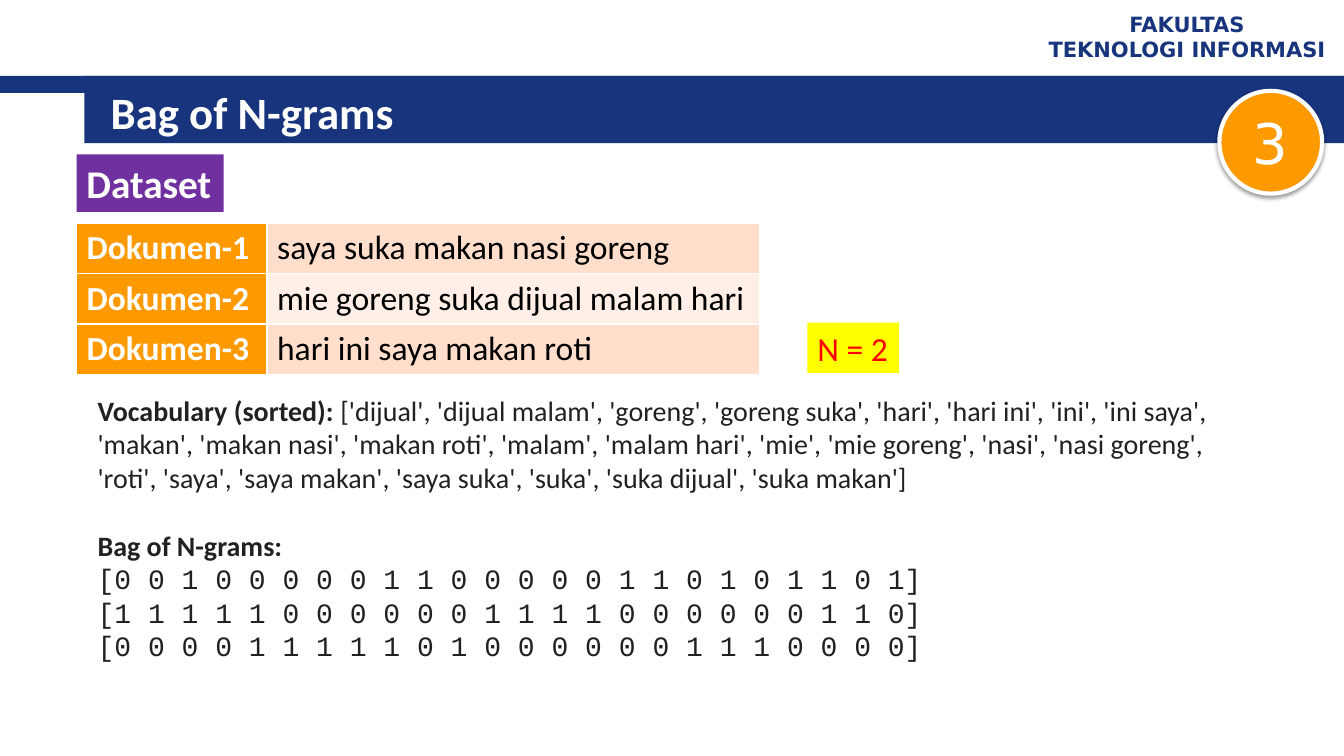
import pptx
import pptx.dml.color
import pptx.enum.shapes
import pptx.enum.text
import pptx.oxml
import pptx.oxml.ns
import pptx.util

Cm = pptx.util.Cm
Pt = pptx.util.Pt
RGBColor = pptx.dml.color.RGBColor
MSO_SHAPE = pptx.enum.shapes.MSO_SHAPE
ANCHOR = pptx.enum.text.MSO_ANCHOR
ALIGN = pptx.enum.text.PP_ALIGN
AUTO_SIZE = pptx.enum.text.MSO_AUTO_SIZE

NAVY = RGBColor(0x17, 0x34, 0x7D)
ORANGE = RGBColor(0xFF, 0x99, 0x00)
PURPLE = RGBColor(0x70, 0x30, 0xA0)
YELLOW = RGBColor(0xFF, 0xFF, 0x00)
RED = RGBColor(0xFF, 0x00, 0x00)
PEACH = RGBColor(0xFF, 0xDE, 0xCC)
PALE_PEACH = RGBColor(0xFF, 0xEF, 0xE7)
INK = RGBColor(0x21, 0x21, 0x21)
BLACK = RGBColor(0, 0, 0)
WHITE = RGBColor(0xFF, 0xFF, 0xFF)

BODY_FONT = "Calibri"
CODE_FONT = "Courier New"
BRAND_FONT = "DejaVu Sans"

DOCUMENTS = [
    ("Dokumen-1", "saya suka makan nasi goreng"),
    ("Dokumen-2", "mie goreng suka dijual malam hari"),
    ("Dokumen-3", "hari ini saya makan roti"),
]
VOCABULARY = [
    "dijual", "dijual malam", "goreng", "goreng suka", "hari", "hari ini",
    "ini", "ini saya", "makan", "makan nasi", "makan roti", "malam",
    "malam hari", "mie", "mie goreng", "nasi", "nasi goreng", "roti",
    "saya", "saya makan", "saya suka", "suka", "suka dijual", "suka makan",
]
VECTORS = [
    "[0 0 1 0 0 0 0 0 1 1 0 0 0 0 0 1 1 0 1 0 1 1 0 1]",
    "[1 1 1 1 1 0 0 0 0 0 0 1 1 1 1 0 0 0 0 0 0 1 1 0]",
    "[0 0 0 0 1 1 1 1 1 0 1 0 0 0 0 0 0 1 1 1 0 0 0 0]",
]


class SlideBuilder:
    def __init__(self, s):
        self.s = s

    def style(self, r, size, color, bold=False, font=BODY_FONT):
        r.font.name = font
        r.font.size = Pt(size)
        r.font.bold = bold
        r.font.color.rgb = color

    def set_text(self, tf, text, size, color, bold=False, font=BODY_FONT, align=ALIGN.LEFT):
        tf.text = text
        for p in tf.paragraphs:
            p.alignment = align
            for r in p.runs:
                self.style(r, size, color, bold, font)

    def shape(self, kind, x, y, w, h, fill):
        sp = self.s.shapes.add_shape(kind, Cm(x), Cm(y), Cm(w), Cm(h))
        sp.shadow.inherit = False
        sp.fill.solid()
        sp.fill.fore_color.rgb = fill
        sp.line.fill.background()
        return sp

    def label(self, x, y, w, h, fill, text, size, color, bold=False):
        sp = self.shape(MSO_SHAPE.RECTANGLE, x, y, w, h, fill)
        tf = sp.text_frame
        tf.word_wrap = False
        tf.auto_size = AUTO_SIZE.SHAPE_TO_FIT_TEXT
        tf.vertical_anchor = ANCHOR.TOP
        self.set_text(tf, text, size, color, bold)

    def textbox(self, x, y, w, h, anchor=ANCHOR.TOP):
        tf = self.s.shapes.add_textbox(Cm(x), Cm(y), Cm(w), Cm(h)).text_frame
        tf.word_wrap = True
        tf.vertical_anchor = anchor
        return tf

    def badge(self, x, y, size, text):
        sp = self.shape(MSO_SHAPE.OVAL, x, y, size, size, ORANGE)
        sp.line.color.rgb = WHITE
        sp.line.width = Pt(3)
        effects = sp._element.spPr.find(pptx.oxml.ns.qn("a:effectLst"))
        effects.append(pptx.oxml.parse_xml(
            f'<a:outerShdw {pptx.oxml.ns.nsdecls("a")} blurRad="{Pt(3.1)}" dist="{Pt(1.6)}" '
            'dir="5400000" rotWithShape="0"><a:srgbClr val="000000">'
            '<a:alpha val="38000"/></a:srgbClr></a:outerShdw>'))
        tf = sp.text_frame
        tf.vertical_anchor = ANCHOR.MIDDLE
        self.set_text(tf, text, 40, WHITE, font=BRAND_FONT, align=ALIGN.CENTER)

    def cell(self, cell, text, fill, color, bold):
        tcPr = cell._tc.get_or_add_tcPr()
        for side in ("lnL", "lnR", "lnT", "lnB"):
            tcPr.append(pptx.oxml.parse_xml(
                f'<a:{side} {pptx.oxml.ns.nsdecls("a")} w="{Pt(1)}"><a:solidFill>'
                f'<a:srgbClr val="{WHITE}"/></a:solidFill></a:{side}>'))
        cell.fill.solid()
        cell.fill.fore_color.rgb = fill
        self.set_text(cell.text_frame, text, 24, color, bold)

    def table(self, x, y, widths, row_height, rows):
        table = self.s.shapes.add_table(
            len(rows), len(widths), Cm(x), Cm(y),
            Cm(sum(widths)), Cm(row_height * len(rows))).table
        table.first_row = False
        table.horz_banding = False
        for column, width in zip(table.columns, widths):
            column.width = Cm(width)
        for i, (name, sentence) in enumerate(rows):
            self.cell(table.cell(i, 0), name, ORANGE, WHITE, True)
            self.cell(table.cell(i, 1), sentence, PALE_PEACH if i % 2 else PEACH, BLACK, False)

    def result(self, x, y, w, h):
        tf = self.textbox(x, y, w, h)
        self.set_text(tf, "Vocabulary (sorted):", 20, INK, True)
        r = tf.paragraphs[0].add_run()
        r.text = f" {VOCABULARY}"
        self.style(r, 20, INK)
        p = tf.add_paragraph()
        p.text = "Bag of N-grams:"
        p.space_before = Pt(24.4)
        self.style(p.runs[0], 20, INK, True)
        for vector in VECTORS:
            p = tf.add_paragraph()
            p.text = vector
            self.style(p.runs[0], 20, INK, font=CODE_FONT)


def main():
    prs = pptx.Presentation()
    prs.slide_width = Cm(33.87)
    prs.slide_height = Cm(19.05)
    slide = SlideBuilder(prs.slides.add_slide(prs.slide_layouts[6]))

    slide.shape(MSO_SHAPE.RECTANGLE, 0, 1.91, 33.87, 0.43, NAVY)
    slide.shape(MSO_SHAPE.RECTANGLE, 2.13, 1.91, 31.74, 1.7, NAVY)
    faculty = slide.textbox(25.98, 0.13, 7.87, 1.57, ANCHOR.MIDDLE)
    slide.set_text(faculty, "FAKULTAS\nTEKNOLOGI INFORMASI", 15, NAVY, True, BRAND_FONT, ALIGN.CENTER)
    title = slide.textbox(2.54, 2.03, 30.2, 1.57, ANCHOR.MIDDLE)
    slide.set_text(title, "Bag of N-grams", 32, WHITE, True)

    slide.table(1.93, 5.62, [4.8, 12.4], 1.27, DOCUMENTS)
    slide.label(1.93, 3.89, 3.71, 1.45, PURPLE, "Dataset", 28, WHITE, True)
    slide.result(2.21, 9.78, 28.93, 7.09)
    slide.badge(30.73, 2.29, 2.59, "3")
    slide.label(20.35, 8.13, 2.31, 1.27, YELLOW, "N = 2", 24, RED)

    prs.save("out.pptx")


if __name__ == "__main__":
    main()
